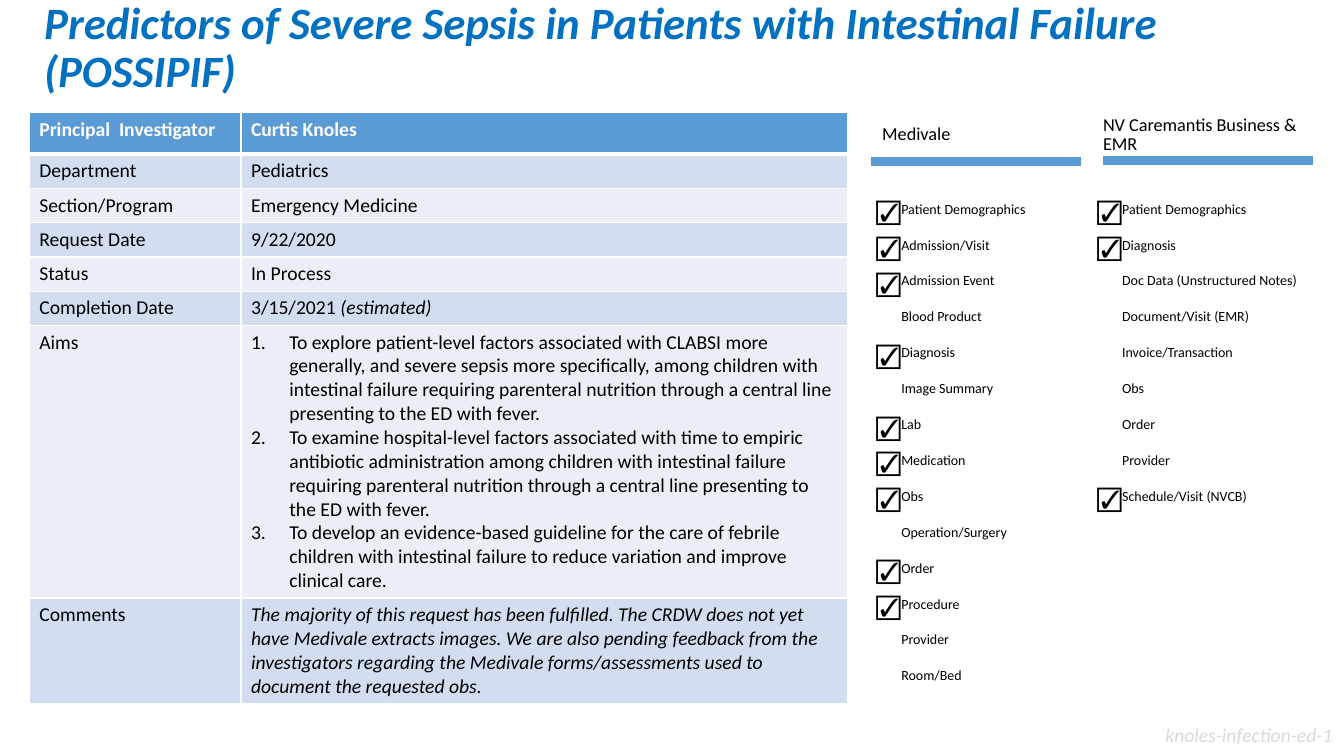
from lxml import etree
from pptx import Presentation
from pptx.dml.color import RGBColor
from pptx.enum.shapes import MSO_SHAPE
from pptx.enum.text import MSO_ANCHOR, MSO_AUTO_SIZE, PP_ALIGN
from pptx.oxml.ns import qn
from pptx.util import Inches, Pt

RECT = MSO_SHAPE.RECTANGLE
TOP, MIDDLE = MSO_ANCHOR.TOP, MSO_ANCHOR.MIDDLE
GROW, FIXED = MSO_AUTO_SIZE.SHAPE_TO_FIT_TEXT, MSO_AUTO_SIZE.NONE
LEFT = PP_ALIGN.LEFT
COLORS = {"title": "0070C0", "head": "5B9BD5", "odd": "D2DEEF",
          "even": "EAEFF7", "text": "000000", "white": "FFFFFF",
          "code": "D9D9D9"}


def write(para, text, size, color="text", **style):
    run = para.add_run()
    run.text = text
    look = {"name": "Calibri", "size": Pt(size), "bold": False,
            "italic": False, **style}
    for key, value in look.items():
        setattr(run.font, key, value)
    run.font.color.rgb = RGBColor.from_string(COLORS[color])


def fill_box(box, text, size, color="text", pad=(0.1, 0.05), anchor=TOP,
             wrap=True, spacing=1.0, **style):
    side, edge = [Inches(n) for n in pad]
    look = {"auto_size": FIXED if wrap else GROW, "word_wrap": wrap,
            "vertical_anchor": anchor,
            "margin_left": side, "margin_right": side,
            "margin_top": edge, "margin_bottom": edge}
    for key, value in look.items():
        setattr(box.text_frame, key, value)
    para = box.text_frame.paragraphs[0]
    para.alignment = LEFT
    para.line_spacing = spacing
    write(para, text, size, color, **style)


deck = Presentation()
deck.slide_width, deck.slide_height = Inches(13.33), Inches(7.5)
slide = deck.slides.add_slide(deck.slide_layouts[6])
shapes = slide.shapes

# Title
title = shapes.add_textbox(Inches(0.34), Inches(0.26),
                           Inches(12.73), Inches(0.45))
fill_box(title, "Predictors of Severe Sepsis in Patients with Intestinal "
         "Failure (POSSIPIF)", 32, "title", anchor=MIDDLE, spacing=0.9,
         bold=True, italic=True)

# Request table: each value is a list of paragraphs of (text, italic) runs
aims = [
    "To explore patient-level factors associated with CLABSI more generally, "
    "and severe sepsis more specifically, among children with intestinal "
    "failure requiring parenteral nutrition through a central line "
    "presenting to the ED with fever.",
    "To examine hospital-level factors associated with time to empiric "
    "antibiotic administration among children with intestinal failure "
    "requiring parenteral nutrition through a central line presenting to "
    "the ED with fever.",
    "To develop an evidence-based guideline for the care of febrile children "
    "with intestinal failure to reduce variation and improve clinical care.",
]
note = ("The majority of this request has been fulfilled. The CRDW does not "
        "yet have Medivale extracts images. We are also pending feedback from "
        "the investigators regarding the Medivale forms/assessments used to "
        "document the requested obs.")
rows = [
    ("Principal  Investigator", 0.41, [[("Curtis Knoles", False)]]),
    ("Department", 0.34, [[("Pediatrics", False)]]),
    ("Section/Program", 0.34, [[("Emergency Medicine", False)]]),
    ("Request Date", 0.34, [[("9/22/2020", False)]]),
    ("Status", 0.34, [[("In Process", False)]]),
    ("Completion Date", 0.34, [[("3/15/2021 ", False), ("(estimated)", True)]]),
    ("Aims", 2.69, [[(aim, False)] for aim in aims]),
    ("Comments", 1.05, [[(note, True)]]),
]
table = shapes.add_table(len(rows), 2, Inches(0.29), Inches(1.12),
                         Inches(8.12), Inches(5.85)).table
for col, width in zip(table.columns, (2.1, 6.02)):
    col.width = Inches(width)

for r, (label, height, value) in enumerate(rows):
    table.rows[r].height = Inches(height)
    fill = "head" if r == 0 else "odd" if r % 2 else "even"
    color = "white" if r == 0 else "text"
    for c, paras in enumerate(([[(label, False)]], value)):
        cell = table.cell(r, c)
        cell.fill.solid()
        cell.fill.fore_color.rgb = RGBColor.from_string(COLORS[fill])
        for i, runs in enumerate(paras):
            frame = cell.text_frame
            para = frame.add_paragraph() if i else frame.paragraphs[0]
            if len(paras) > 1:
                props = para._p.get_or_add_pPr()
                props.set("marL", str(Inches(0.38)))
                props.set("indent", str(-Inches(0.38)))
                etree.SubElement(props, qn("a:buAutoNum"), type="arabicPeriod")
            for text, slant in runs:
                write(para, text, 14, color, bold=r == 0, italic=slant)
        # White cell borders, thicker under the header
        for n, side in enumerate("LRTB"):
            thick = (r == 0 and side == "B") or (r == 1 and side == "T")
            line = etree.Element(qn("a:ln" + side), w=str(Pt(3 if thick else 1)))
            solid = etree.SubElement(line, qn("a:solidFill"))
            etree.SubElement(solid, qn("a:srgbClr"), val=COLORS["white"])
            cell._tc.get_or_add_tcPr().insert(n, line)

# Data checklists: left edge, bar place, first boxed row, heading, items, checks
lists = [
    (8.72, (8.64, 1.56), 1, "Medivale",
     ["Patient Demographics", "Admission/Visit", "Admission Event",
      "Blood Product", "Diagnosis", "Image Summary", "Lab", "Medication",
      "Obs", "Operation/Surgery", "Order", "Procedure", "Provider",
      "Room/Bed"],
     {0, 1, 2, 4, 6, 7, 8, 10, 11}),
    (10.91, (10.94, 1.55), 0, "NV Caremantis Business & EMR",
     ["Patient Demographics", "Diagnosis", "Doc Data (Unstructured Notes)",
      "Document/Visit (EMR)", "Invoice/Transaction", "Obs", "Order",
      "Provider", "Schedule/Visit (NVCB)"],
     {0, 1, 8}),
]
pitch = 4.63 / 13
for left, (x, y), first, head, items, checked in lists:
    # Panels and white boxes: place, fill, text, size, padding
    parts = [((left, 1.12, 2.08, 0.44), None, head, 13, (0.03, 0.02))]
    for i, item in enumerate(items):
        top = 1.9 + i * pitch
        if i >= first:
            parts.append(((left, top + 0.1, 0.15, 0.15), "white", "", 0, None))
        parts.append(((left + 0.14, top, 1.93, 0.36), None, item, 10,
                      (0.08, 0.08)))
    parts.append(((x, y, 2.08, 0.09), "head", "", 0, None))

    for spot, fill, text, size, pad in parts:
        l, t, w, h = [Inches(n) for n in spot]
        if fill == "white":
            shape = shapes.add_shape(RECT, l, t, w, h)
        else:
            pen = shapes.build_freeform(l, t)
            pen.add_line_segments([(l + w, t), (l + w, t + h), (l, t + h)])
            shape = pen.convert_to_shape()
        shape.shadow.inherit = False
        shape.line.fill.background()
        if fill:
            shape.fill.solid()
            shape.fill.fore_color.rgb = RGBColor.from_string(COLORS[fill])
        else:
            shape.fill.background()
            fill_box(shape, text, size, pad=pad, anchor=MIDDLE, spacing=0.9)

    for i in sorted(checked):
        check = shapes.add_textbox(Inches(left - 0.13),
                                   Inches(1.89 + i * pitch),
                                   Inches(0.43), Inches(0.4))
        fill_box(check, "☑", 18, wrap=False)

# Request code
code = shapes.add_textbox(Inches(11.46), Inches(7.12),
                          Inches(1.87), Inches(0.34))
fill_box(code, "knoles-infection-ed-1", 14, "code", wrap=False, italic=True)

deck.save("out.pptx")
